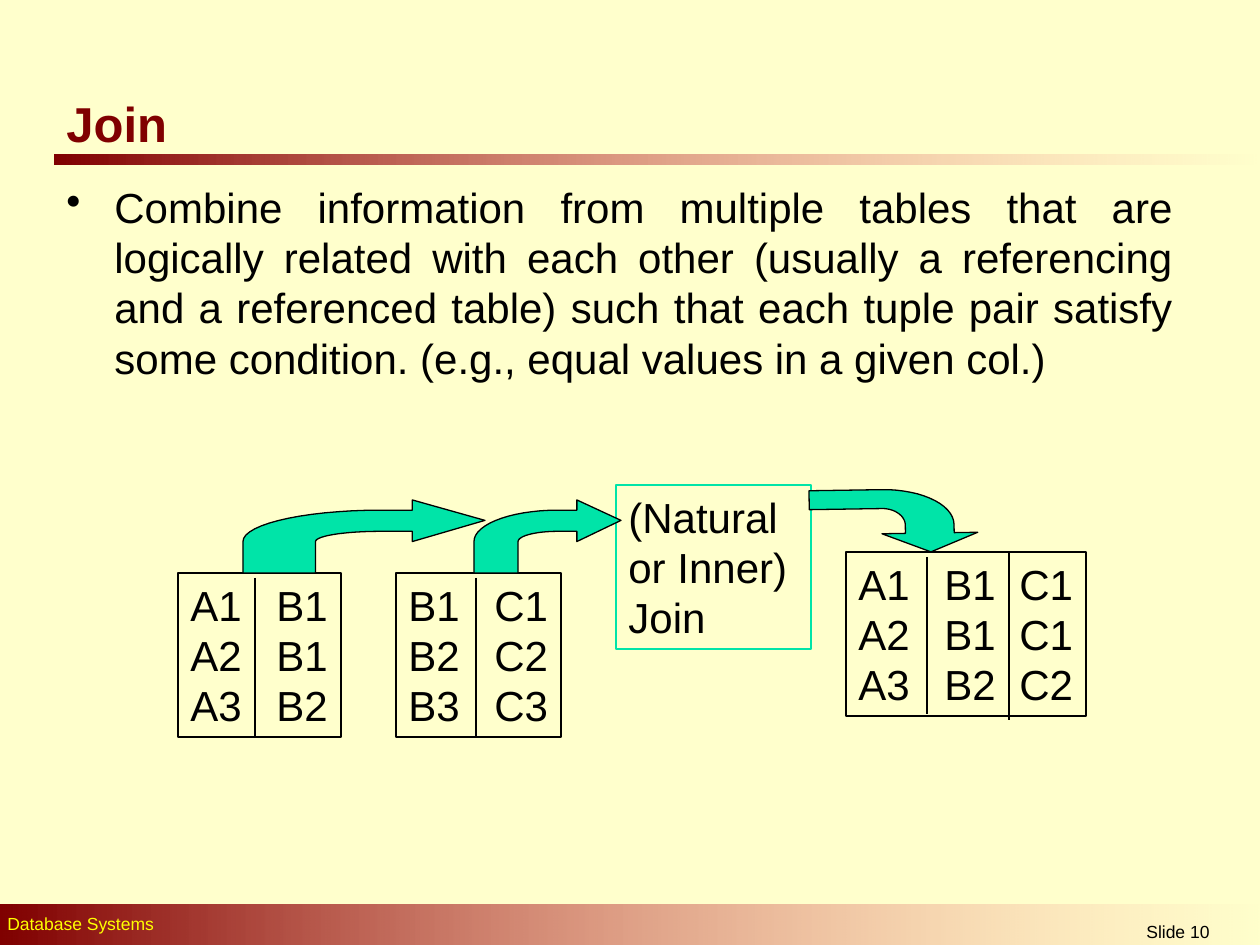
import math

from lxml import etree
from pptx import Presentation
from pptx.dml.color import RGBColor
from pptx.enum.shapes import MSO_CONNECTOR, MSO_SHAPE
from pptx.enum.text import MSO_ANCHOR, PP_ALIGN
from pptx.oxml.ns import qn
from pptx.util import Pt

PX = 914400 / 126
STRAIGHT = MSO_CONNECTOR.STRAIGHT
RECTANGLE = MSO_SHAPE.RECTANGLE
LEFT, CENTER, JUSTIFY = PP_ALIGN.LEFT, PP_ALIGN.CENTER, PP_ALIGN.JUSTIFY
TOP, MIDDLE = MSO_ANCHOR.TOP, MSO_ANCHOR.MIDDLE

CREAM = RGBColor(0xFF, 0xFF, 0xCC)
MAROON = RGBColor(0x80, 0x00, 0x00)
PINK = RGBColor(0xFF, 0x85, 0x85)
YELLOW = RGBColor(0xFF, 0xFF, 0x00)
BLACK = RGBColor(0x00, 0x00, 0x00)
MINT = RGBColor(0x00, 0xE4, 0xA8)


def px(*lengths):
    return [round(length * PX) for length in lengths]


def write(shape, lines, size, color, align=LEFT, anchor=TOP, bold=False):
    """Fill a shape with one paragraph per line, spaced at 1.2 times the size."""
    frame = shape.text_frame
    frame.word_wrap = True
    frame.vertical_anchor = anchor
    for index, line in enumerate(lines):
        para = frame.add_paragraph() if index else frame.paragraphs[0]
        para.alignment = align
        para.line_spacing = Pt(1.2 * size)
        span = para.add_run()
        span.text = line
        span.font.name = "Arial"
        span.font.size = Pt(size)
        span.font.bold = bold
        span.font.color.rgb = color
    return frame


deck = Presentation()
deck.slide_width, deck.slide_height = px(1260, 945)
page = deck.slides.add_slide(deck.slide_layouts[6])
page.background.fill.solid()
page.background.fill.fore_color.rgb = CREAM

# Bars under the title and behind the footer, fading to the right
for bar_place in [(54, 155, 1206, 10), (0, 905, 1264, 44)]:
    bar = page.shapes.add_shape(RECTANGLE, *px(*bar_place))
    bar.shadow.inherit = False
    bar.line.fill.background()
    bar.fill.gradient()
    bar.fill.gradient_angle = 0
    for stop, color in zip(bar.fill.gradient_stops, (MAROON, PINK)):
        stop.color.rgb = color
    last_color = list(bar.element.spPr.iter(qn("a:srgbClr")))[-1]
    etree.SubElement(last_color, qn("a:alpha"), val="0")

# Footer, title and body text
footer = page.shapes.add_textbox(*px(-5, 907, 814, 34))
write(footer, ["Database Systems"], 10, YELLOW)
number = page.shapes.add_textbox(*px(1047, 915, 262, 30))
write(number, ["Slide 10"], 10, BLACK, CENTER)
title = page.shapes.add_textbox(*px(54, 86, 170, 73))
write(title, ["Join"], 28, MAROON, anchor=MIDDLE, bold=True)

body = page.shapes.add_textbox(*px(54, 175, 1131, 704))
body_frame = write(body, [
    "Combine information from multiple tables that are logically related with "
    "each other (usually a referencing and a referenced table) such that each "
    "tuple pair satisfy some condition. (e.g., equal values in a given col.)"
], 24, BLACK, JUSTIFY)
indent = px(48)[0]
bullet = body_frame.paragraphs[0]._p.get_or_add_pPr()
bullet.set("marL", str(indent))
bullet.set("indent", str(-indent))
etree.SubElement(bullet, qn("a:buChar"), char="•")

# Relations and the join step: place, outline, lines
boxes = [
    ((178, 573, 163, 164), BLACK, ["A1\tB1", "A2\tB1", "A3\tB2"]),
    ((396, 573, 165, 164), BLACK, ["B1\tC1", "B2\tC2", "B3\tC3"]),
    ((846, 552, 240, 164), BLACK, ["A1\tB1\tC1", "A2\tB1\tC1", "A3\tB2\tC2"]),
    ((616, 485, 195, 164), MINT, ["(Natural", "or Inner)", "Join"]),
]
for place, outline, lines in boxes:
    box = page.shapes.add_shape(RECTANGLE, *px(*place))
    box.shadow.inherit = False
    box.fill.background()
    box.line.color.rgb = outline
    box.line.width = Pt(0.75)
    frame = write(box, lines, 24, BLACK)
    frame.margin_right = 0
    for para in frame.paragraphs:
        column_stops = px(86, 161)[:para.text.count("\t")]
        if column_stops:
            tab_list = etree.SubElement(para._p.get_or_add_pPr(), qn("a:tabLst"))
            for position in column_stops:
                etree.SubElement(tab_list, qn("a:tab"), pos=str(position), algn="l")

# Column dividers: x, top, bottom
for x, top, bottom in [(255, 578, 736), (476, 578, 736), (927, 557, 714), (1009, 552, 720)]:
    divider = page.shapes.add_connector(STRAIGHT, *px(x, top, x, bottom))
    divider.line.color.rgb = BLACK
    divider.line.width = Pt(0.75)
    etree.SubElement(divider.element.spPr, qn("a:effectLst"))

# Bent arrow as fractions of its width and height
BEND_X, BEND_Y = 0.57, 0.57
SHAFT_X, SHAFT_TOP, SHAFT_BOTTOM, HEAD_X = 0.3, 0.14, 0.43, 0.7
angles = [math.radians(6 * step) for step in range(16)]
outer = [(BEND_X * (1 - math.sin(a)), BEND_Y - (BEND_Y - SHAFT_TOP) * math.cos(a))
         for a in angles]
inner = [(BEND_X - (BEND_X - SHAFT_X) * math.cos(a),
          BEND_Y - (BEND_Y - SHAFT_BOTTOM) * math.sin(a)) for a in angles]
outline = [(1, 0.28), (HEAD_X, 0), (HEAD_X, SHAFT_TOP), *outer, (0, 1), (SHAFT_X, 1),
           *inner, (HEAD_X, SHAFT_BOTTOM), (HEAD_X, 0.57)]

arrows = [(243, 500, 242, 73, 0), (474, 500, 147, 73, 0), (862, 437, 63, 168, 89.1)]
for left, top, width, height, rotation in arrows:
    points = [px(left + width * u, top + height * v) for u, v in outline]
    builder = page.shapes.build_freeform(*points[0])
    builder.add_line_segments(points[1:], close=True)
    arrow = builder.convert_to_shape()
    arrow.shadow.inherit = False
    arrow.rotation = rotation
    arrow.fill.solid()
    arrow.fill.fore_color.rgb = MINT
    arrow.line.color.rgb = BLACK
    arrow.line.width = Pt(0.75)

deck.save("out.pptx")
